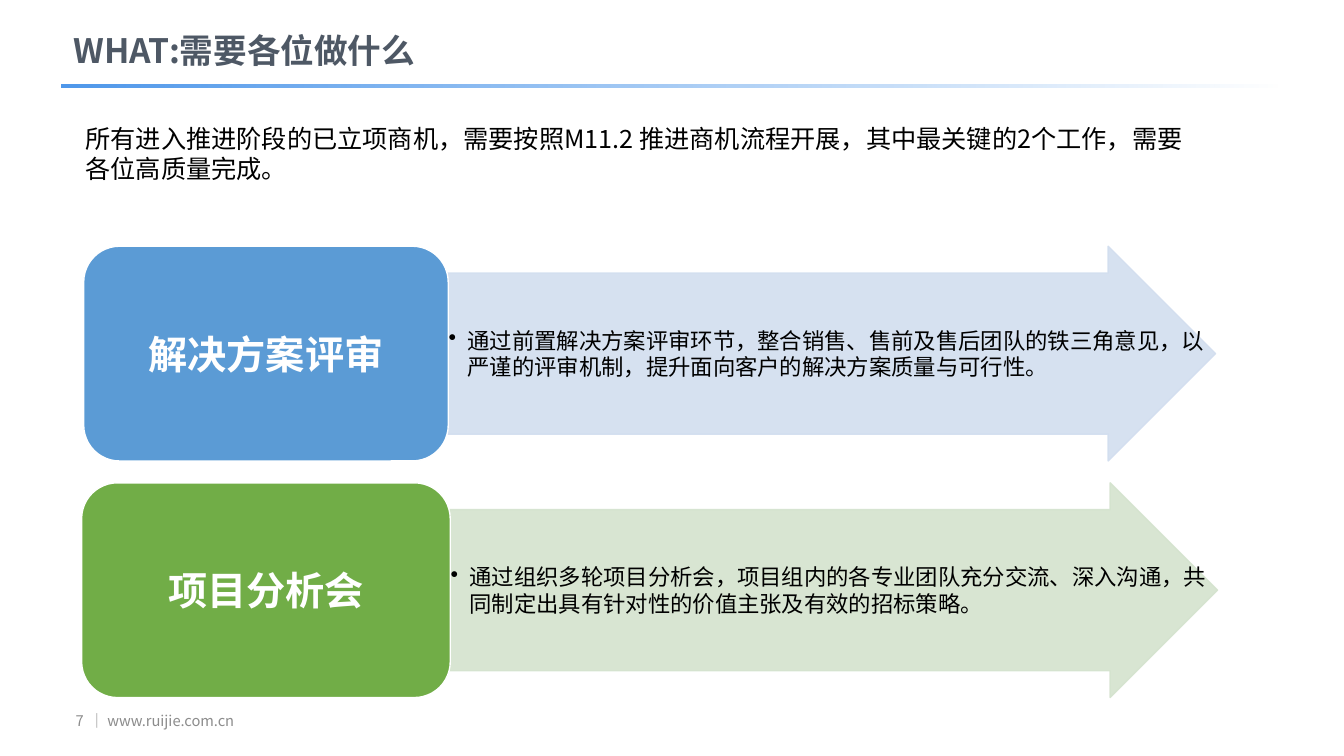
from dataclasses import dataclass

from pptx import Presentation
from pptx.dml.color import RGBColor
from pptx.enum.shapes import MSO_SHAPE as Shape
from pptx.enum.text import MSO_ANCHOR as Anchor, MSO_AUTO_SIZE as AutoSize, PP_ALIGN as Align
from pptx.oxml.ns import qn
from pptx.oxml.xmlchemy import OxmlElement
from pptx.util import Pt


@dataclass(frozen=True)
class Theme:
    font: str = "Noto Sans CJK SC"
    title: str = "4E5865"
    rule: str = "4F98EB"
    footer: str = "8C8C8C"
    body: str = "000000"
    white: str = "FFFFFF"
    blue: str = "5B9BD5"
    light_blue: str = "D2DEEF"
    green: str = "71AD47"
    light_green: str = "D4E3CE"
    title_size: float = 24
    intro_size: float = 18
    card_size: float = 28
    detail_size: float = 16
    footer_size: float = 10.5


theme = Theme()


def write(shape, text, size, color, bold=False, align=Align.LEFT,
          anchor=Anchor.MIDDLE, insets=(7.2, 3.6)):
    """Fill a shape with one styled paragraph and return that paragraph."""
    frame = shape.text_frame
    frame.text = text
    frame.word_wrap = True
    frame.auto_size = AutoSize.NONE
    frame.vertical_anchor = anchor
    frame.margin_left = frame.margin_right = Pt(insets[0])
    frame.margin_top = frame.margin_bottom = Pt(insets[1])
    paragraph = frame.paragraphs[0]
    paragraph.alignment = align
    font = paragraph.runs[0].font
    font.name, font.size, font.bold = theme.font, Pt(size), bold
    font.color.rgb = RGBColor.from_string(color)
    east_asian = OxmlElement("a:ea")
    east_asian.set("typeface", theme.font)
    font._element.find(qn("a:latin")).addnext(east_asian)
    return paragraph


def set_alpha(color_element, percent):
    alpha = OxmlElement("a:alpha")
    alpha.set("val", str(percent * 1000))
    color_element.append(alpha)


presentation = Presentation()
presentation.slide_width, presentation.slide_height = Pt(960), Pt(540)
slide = presentation.slides.add_slide(presentation.slide_layouts[5])
shapes = slide.shapes

# Title and fading rule
title = shapes.title
title.left, title.top, title.width, title.height = Pt(45.4), Pt(20.9), Pt(766), Pt(38.9)
paragraph = write(title, "WHAT:需要各位做什么", theme.title_size, theme.title,
                  bold=True, anchor=Anchor.TOP)
paragraph.line_spacing = 0.9

rule = shapes.add_shape(Shape.RECTANGLE, Pt(43.9), Pt(60.2), Pt(872.6), Pt(2.6))
rule.shadow.inherit = False
rule.line.fill.background()
rule.fill.gradient()
rule.fill.gradient_angle = 0
for stop in rule.fill.gradient_stops:
    stop.color.rgb = RGBColor.from_string(theme.rule)
set_alpha(list(rule._element.spPr.iter(qn("a:srgbClr")))[-1], 0)

# Introduction
intro = shapes.add_textbox(Pt(54), Pt(84.2), Pt(805.7), Pt(51.1))
write(intro, "所有进入推进阶段的已立项商机，需要按照M11.2 推进商机流程开展，其中最关键的2个工作，需要各位高质量完成。",
      theme.intro_size, theme.body, anchor=Anchor.TOP)

# Two tasks: an arrow with its explanation, and a card naming the task
tasks = [
    ("解决方案评审",
     "通过前置解决方案评审环节，整合销售、售前及售后团队的铁三角意见，以严谨的评审机制，提升面向客户的解决方案质量与可行性。",
     theme.blue, theme.light_blue, 59.8, 319.7),
    ("项目分析会",
     "通过组织多轮项目分析会，项目组内的各专业团队充分交流、深入沟通，共同制定出具有针对性的价值主张及有效的招标策略。",
     theme.green, theme.light_green, 58.3, 321.1),
]
first_top, row_step, row_height, arrow_width = 175.9, 169, 153.4, 548.6
for row, (name, detail, card_color, arrow_color, card_left, arrow_left) in enumerate(tasks):
    top = first_top + row * row_step
    arrow_box = Pt(arrow_left), Pt(top), Pt(arrow_width), Pt(row_height)

    arrow = shapes.add_shape(Shape.RIGHT_ARROW, *arrow_box)
    arrow.adjustments[0], arrow.adjustments[1] = 0.75, 0.5
    card = shapes.add_shape(Shape.ROUNDED_RECTANGLE, Pt(card_left), Pt(top),
                            Pt(arrow_left - card_left + 0.5), Pt(row_height))
    for shape, fill, line in ((arrow, arrow_color, arrow_color),
                              (card, card_color, theme.white)):
        shape.shadow.inherit = False
        shape.fill.solid()
        shape.fill.fore_color.rgb = RGBColor.from_string(fill)
        shape.line.color.rgb = RGBColor.from_string(line)
        shape.line.width = Pt(1)
    for color_element in arrow._element.spPr.iter(qn("a:srgbClr")):
        set_alpha(color_element, 90)
    write(card, name, theme.card_size, theme.white, bold=True, align=Align.CENTER)

    detail_box = shapes.add_textbox(*arrow_box)
    paragraph = write(detail_box, detail, theme.detail_size, theme.body, insets=(0.8, 0.8))
    properties = paragraph._p.get_or_add_pPr()
    properties.set("marL", str(Pt(13.5)))
    properties.set("indent", str(-Pt(13.5)))
    bullet = OxmlElement("a:buChar")
    bullet.set("char", "•")
    properties.append(bullet)

# Footer
for text, left, width, align in (("7", 25.9, 41, Align.RIGHT),
                                 ("｜ www.ruijie.com.cn", 56.9, 185, Align.LEFT)):
    footer = shapes.add_textbox(Pt(left), Pt(500.4), Pt(width), Pt(28.8))
    write(footer, text, theme.footer_size, theme.footer, align=align)

presentation.save("out.pptx")
